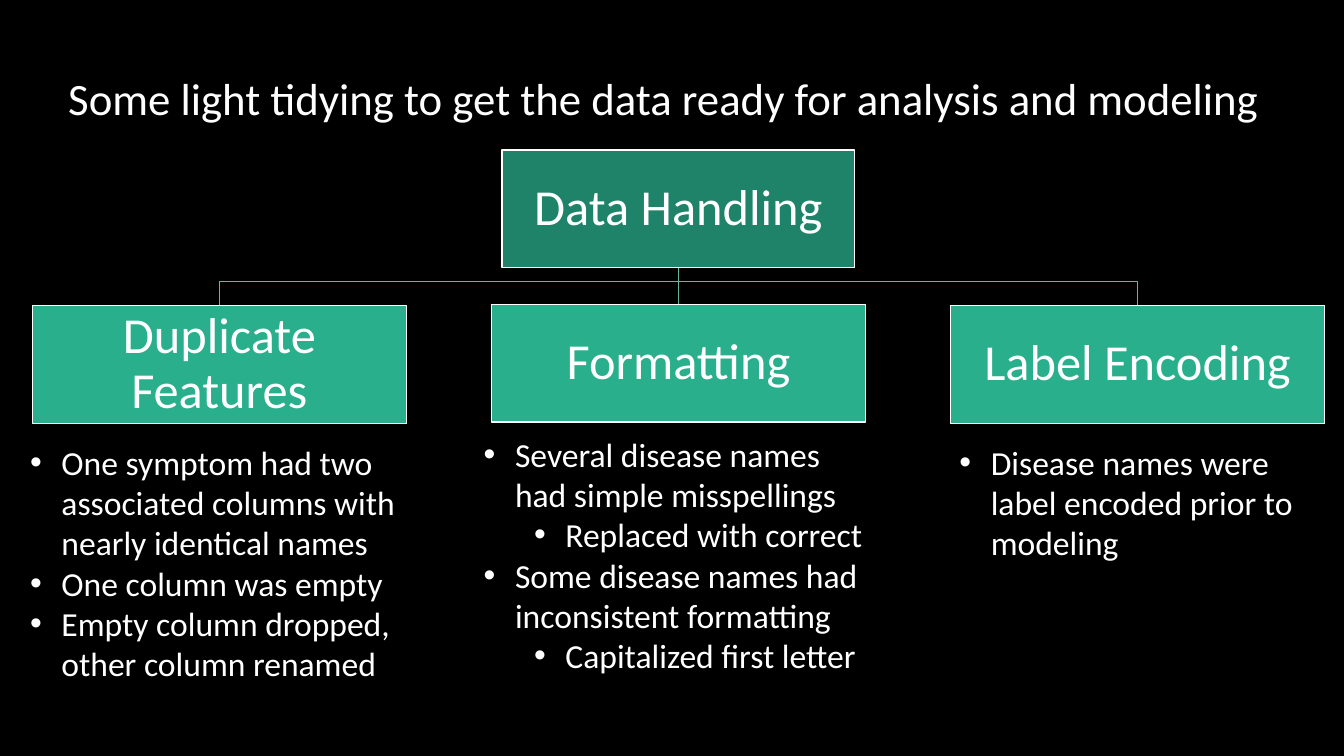
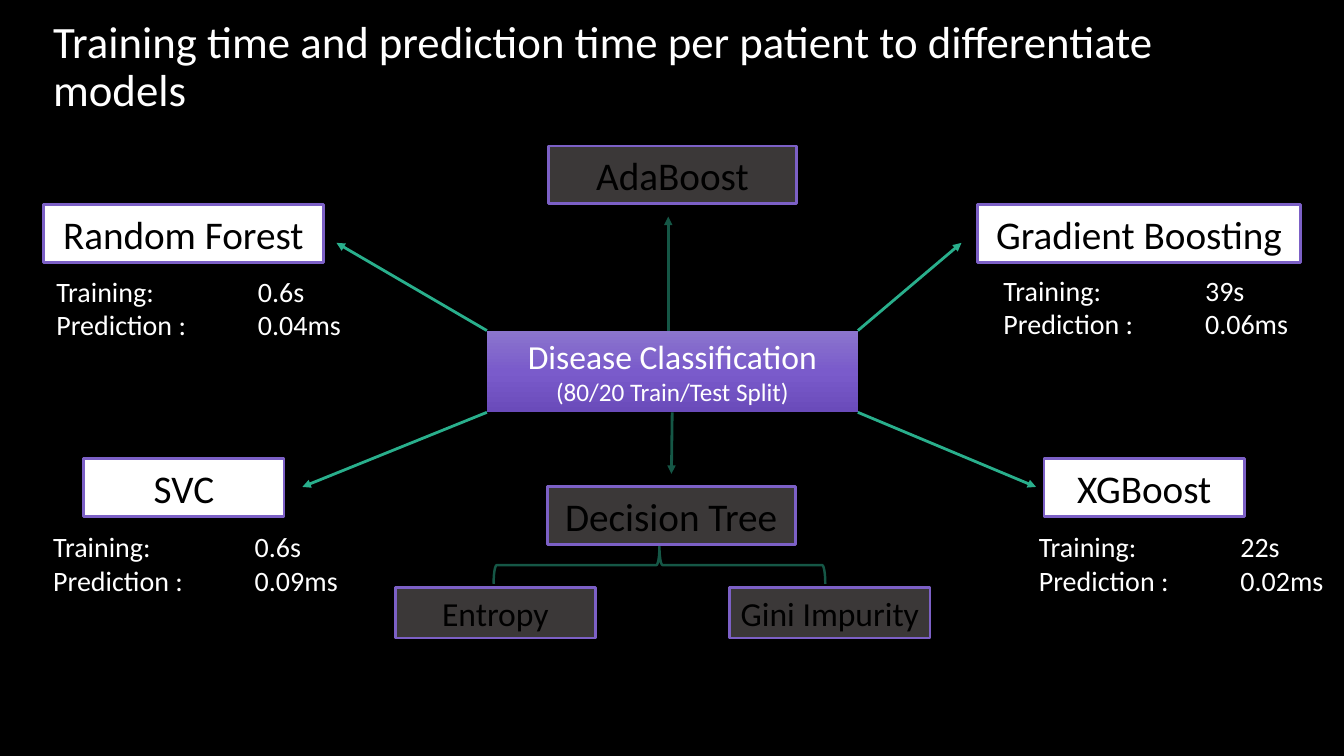
from copy import deepcopy

from lxml import etree
from pptx import Presentation
from pptx.dml.color import RGBColor
from pptx.enum.shapes import MSO_CONNECTOR, MSO_SHAPE
from pptx.enum.text import MSO_ANCHOR, PP_ALIGN
from pptx.oxml.ns import qn
from pptx.util import Cm, Pt

RECT, BRACE = MSO_SHAPE.RECTANGLE, MSO_SHAPE.RIGHT_BRACE
STRAIGHT = MSO_CONNECTOR.STRAIGHT
TOP, MIDDLE = MSO_ANCHOR.TOP, MSO_ANCHOR.MIDDLE
LEFT, CENTER = PP_ALIGN.LEFT, PP_ALIGN.CENTER

BLACK, WHITE = "000000", "FFFFFF"
GREEN, DEEP, DARK, PALE = "29AF8C", "1F8369", "155746", "63B99D"
PURPLE, GREY = "7C60C6", "3B3838"
SHADES = ["8B75CD", "7A5BCB", "6A4BBA"]
FONT = "Calibri"
INDENT, NEST, TAB = 0.79, 1.27, 5.08


def color(code):
    return RGBColor.from_string(code)


def child(node, tag, **attrs):
    return etree.SubElement(node, qn(tag), attrs)


def write(frame, lines, size=24, ink=WHITE, align=LEFT, anchor=TOP,
          space=1.0, pad=None, bullet=False, tab=None):
    """Fill a frame; a line is a text, or (text, size), or (text, level) if bulleted."""
    frame.word_wrap = True
    frame.vertical_anchor = anchor
    if pad is not None:
        frame.margin_left = frame.margin_right = Cm(pad)
        frame.margin_top = frame.margin_bottom = Cm(pad)
    for i, line in enumerate(lines):
        text, extra = line if isinstance(line, tuple) else (line, 0)
        para = frame.paragraphs[0] if i == 0 else frame.add_paragraph()
        para.alignment, para.line_spacing = align, space
        run = para.add_run()
        run.text = text
        run.font.name = FONT
        run.font.size = Pt(size if bullet else extra or size)
        run.font.color.rgb = color(ink)
        props = para._p.get_or_add_pPr()
        if bullet:
            para.level = extra
            props.set("marL", str(Cm(INDENT + NEST * extra)))
            props.set("indent", str(-Cm(INDENT)))
            child(props, "a:buFont", typeface="Arial")
            child(props, "a:buChar", char="•")
        if tab:
            stops = child(props, "a:tabLst")
            child(stops, "a:tab", pos=str(Cm(tab)), algn="l")


class Deck:
    """Holds the presentation, its style and the current slide."""

    def __init__(self):
        self.file = Presentation()
        self.file.slide_width, self.file.slide_height = Cm(33.87), Cm(19.05)

    def page(self, title, *area):
        self.slide = self.file.slides.add_slide(self.file.slide_layouts[6])
        back = self.slide.background.fill
        back.solid()
        back.fore_color.rgb = color(BLACK)
        self.text(area, [title], size=32, anchor=MIDDLE, space=0.9)

    def text(self, area, lines, **style):
        box = self.slide.shapes.add_textbox(*map(Cm, area))
        write(box.text_frame, lines, **style)

    def trim(self, shape, fill, line, width):
        shape.shadow.inherit = False
        if fill:
            shape.fill.solid()
            shape.fill.fore_color.rgb = color(fill)
        else:
            shape.fill.background()
        if line:
            shape.line.color.rgb = color(line)
            shape.line.width = Pt(width)
        else:
            shape.line.fill.background()

    def box(self, area, lines, fill, line=PURPLE, width=2, **style):
        shape = self.slide.shapes.add_shape(RECT, *map(Cm, area))
        self.trim(shape, fill, line, width)
        write(shape.text_frame, lines, align=CENTER, anchor=MIDDLE, pad=0.08, **style)
        return shape

    def blend(self, shape, shades):
        """Fill a shape from top to bottom with three shades."""
        shape.fill.gradient()
        shape.fill.gradient_angle = 270
        stops = shape._element.spPr.find(".//" + qn("a:gsLst"))
        stops.insert(1, deepcopy(stops[0]))
        for i, (stop, shade) in enumerate(zip(shape.fill.gradient_stops, shades)):
            stop.color.rgb = color(shade)
            stop.position = i / 2

    def brace(self, area, line):
        shape = self.slide.shapes.add_shape(BRACE, *map(Cm, area))
        shape.rotation = 270
        self.trim(shape, None, line, 1.75)

    def bend(self, points, line):
        """Draw an open line through the points."""
        first, *rest = [(Cm(x), Cm(y)) for x, y in points]
        pen = self.slide.shapes.build_freeform(*first)
        pen.add_line_segments(rest, close=False)
        self.trim(pen.convert_to_shape(), None, line, 1)

    def link(self, start, end, line, width=2, arrow=True):
        item = self.slide.shapes.add_connector(STRAIGHT, *map(Cm, start + end))
        item.line.color.rgb = color(line)
        item.line.width = Pt(width)
        if arrow:
            child(item.line._get_or_add_ln(), "a:tailEnd", type="triangle")
        child(item._element.spPr, "a:effectLst")


def tidy(deck):
    deck.page("Some light tidying to get the data ready for analysis and modeling",
              1.47, 0.71, 30.89, 3.68)
    mid, top, tall = 17.1, 3.78, 2.97
    wide, step, row = 9.42, 11.57, 7.7
    foot, bus = top + tall, 7.09
    for side in (-1, 1):
        end = mid + side * step
        deck.bend([(mid, foot), (mid, bus), (end, bus), (end, row)], PALE)
    deck.link((mid, foot), (mid, row), PALE, width=1, arrow=False)

    style = dict(line=WHITE, width=1, size=36, space=0.9)
    deck.box((12.65, top, 8.89, tall), ["Data Handling"], DEEP, **style)
    topics = [
        ("Duplicate Features", 7.7, (0.51, 11, 10.29, 6.4), [
            "One symptom had two associated columns with nearly identical names",
            "One column was empty",
            "Empty column dropped, other column renamed"]),
        ("Formatting", 7.67, (11.94, 10.8, 10.29, 6.4), [
            "Several disease names had simple misspellings",
            ("Replaced with correct", 1),
            "Some disease names had inconsistent formatting",
            ("Capitalized first letter", 1)]),
        ("Label Encoding", 7.7, (23.93, 11, 9.42, 3.33), [
            "Disease names were label encoded prior to modeling"]),
    ]
    for i, (name, y, area, notes) in enumerate(topics):
        x = mid + (i - 1) * step - wide / 2
        deck.box((x, y, wide, tall), [name], GREEN, **style)
        deck.text(area, notes, bullet=True)


def models(deck):
    deck.page("Training time and prediction time per patient to differentiate models",
              1.09, 1.32, 31.65, 0.79)
    x, y, wide, tall = 12.27, 8.33, 9.35, 2.06
    hub = deck.box((x, y, wide, tall),
                   ["Disease Classification", ("(80/20 Train/Test Split)", 18)],
                   PURPLE, line=None)
    deck.blend(hub, SHADES)
    right, foot = x + wide, y + tall

    high = 1.45
    kept = [
        ("Random Forest", (1.09, 5.16, 7.06), (x, y), (8.48, 6.12),
         (1.17, 6.78), "0.6s", "0.04ms"),
        ("Gradient Boosting", (24.64, 5.16, 8.13), (right, y), (24.23, 6.12),
         (25.04, 6.76), "39s", "0.06ms"),
        ("SVC", (2.11, 11.56, 5.05), (x, foot), (7.62, 12.27),
         (1.09, 13.23), "0.6s", "0.09ms"),
        ("XGBoost", (26.31, 11.56, 5.05), (right, foot), (26.11, 12.27),
         (25.93, 13.23), "22s", "0.02ms"),
    ]
    for name, area, start, end, spot, train, guess in kept:
        deck.box((*area, high), [name], WHITE, size=28, ink=BLACK)
        deck.link(start, end, GREEN)
        deck.text((*spot, 7.72, 1.96),
                  [f"Training:\t{train}", f"Prediction :\t{guess}"], size=20, tab=TAB)

    deck.brace((16.15, 10.06, 0.94, 8.36), DARK)
    dropped = [
        ("AdaBoost", (13.82, 3.68, 6.25, high), 28),
        ("Decision Tree", (13.79, 12.27, 6.25, high), 28),
        ("Entropy", (9.96, 14.81, 5.05, 1.27), 24),
        ("Gini Impurity", (18.39, 14.81, 5.05, 1.27), 24),
    ]
    for name, area, size in dropped:
        deck.box(area, [name], GREY, size=size, ink=BLACK)
    deck.link((16.84, y), (16.84, 5.46), DARK)
    deck.link((16.94, foot), (16.92, 11.94), DARK)


def main():
    deck = Deck()
    tidy(deck)
    models(deck)
    deck.file.save("out.pptx")


if __name__ == "__main__":
    main()
